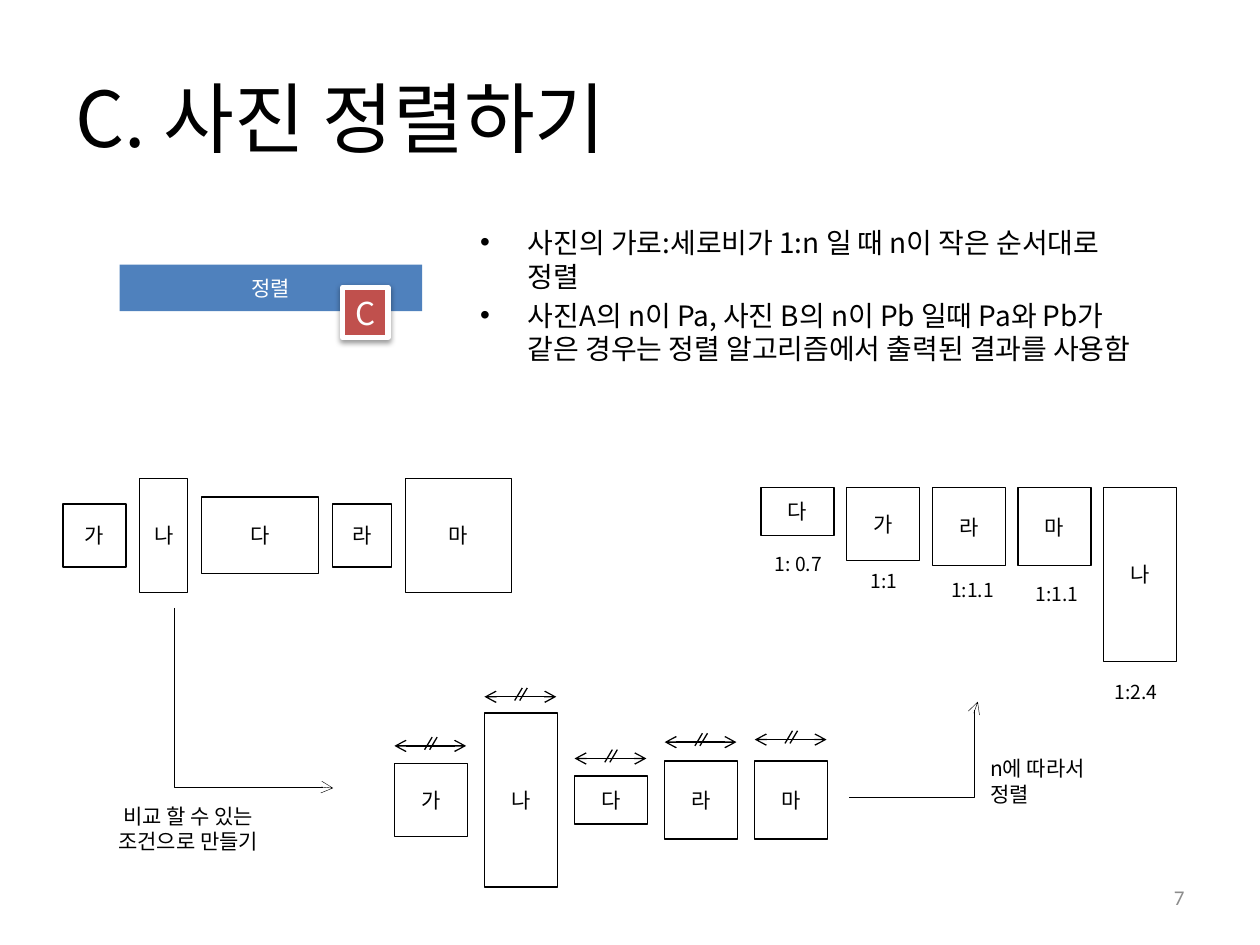
from itertools import accumulate
from typing import NamedTuple

from lxml.etree import SubElement
from pptx import Presentation
from pptx.dml.color import RGBColor
from pptx.enum.shapes import MSO_CONNECTOR as Link, MSO_SHAPE as Preset
from pptx.enum.text import MSO_ANCHOR as Anchor, PP_ALIGN as Align
from pptx.oxml.ns import qn
from pptx.util import Inches, Pt

FONT = "Noto Sans CJK KR"
BLACK, WHITE, BLUE, RED, GRAY = "000000", "FFFFFF", "4F81BD", "C0504D", "8C8C8C"


class Photo(NamedTuple):
    """A photo with its original size and its height at the common width."""
    name: str
    width: float
    height: float
    scaled: float
    arrow_y: float


class Label(NamedTuple):
    """A text box with its place and format."""
    text: str
    left: float
    top: float
    width: float
    height: float
    size: float = 11
    align: Align = Align.LEFT
    wrap: bool = False


class Elbow(NamedTuple):
    """A bent arrow before rotation, with its bend position."""
    start: tuple[float, float]
    end: tuple[float, float]
    bend: float
    degrees: int = 0


PHOTOS = [
    Photo("가", 0.5, 0.5, 0.58, 5.92),
    Photo("나", 0.38, 0.91, 1.38, 5.53),
    Photo("다", 0.93, 0.61, 0.38, 6.02),
    Photo("라", 0.47, 0.5, 0.62, 5.89),
    Photo("마", 0.84, 0.91, 0.62, 5.87),
]
SCALED_WIDTH = 0.58
LABELS = [
    Label("1: 0.7", 6.05, 4.33, 0.6, 0.29),
    Label("1:1", 6.81, 4.47, 0.43, 0.29),
    Label("1:1.1", 7.45, 4.54, 0.56, 0.29),
    Label("1:1.1", 8.12, 4.57, 0.56, 0.29),
    Label("1:2.4", 8.75, 5.35, 0.57, 0.29),
    Label("비교 할 수 있는 조건으로 만들기", 0.83, 6.33, 1.33, 0.5, 12, Align.CENTER, True),
    Label("n에 따라서 정렬", 7.76, 5.95, 1.28, 0.5, 12, Align.LEFT, True),
]
ELBOWS = [
    Elbow((2.73, 4.91), (1.3, 6.17), 0.995, 270),
    Elbow((6.74, 6.33), (7.76, 5.57), 0.976),
]
BULLETS = [
    "사진의 가로:세로비가 1:n 일 때 n이 작은 순서대로 정렬",
    "사진A의 n이 Pa, 사진 B의 n이 Pb 일때 Pa와 Pb가 같은 경우는 정렬 알고리즘에서 출력된 결과를 사용함",
]


def paint(target, color: str) -> None:
    """Give a fill or a line a solid colour."""
    fill = target if hasattr(target, "solid") else target.fill
    fill.solid()
    fill.fore_color.rgb = RGBColor.from_string(color)


def style(para, size: float, color: str = BLACK, align=Align.LEFT, name: str = FONT) -> None:
    """Set the font and alignment of a paragraph."""
    para.alignment = align
    para.font.size = Pt(size)
    para.font.name = name
    paint(para.font.fill, color)
    SubElement(para.font._rPr, qn("a:ea"), typeface=name)


def place(shape, left: float, top: float, width: float, height: float) -> None:
    """Move and size a shape."""
    shape.left, shape.top = Inches(left), Inches(top)
    shape.width, shape.height = Inches(width), Inches(height)


def add_box(page, text: str, left: float, top: float, width: float, height: float,
            fill: str = WHITE, color: str = BLACK, line: str | None = BLACK,
            weight: float = 0.75, size: float = 12):
    """Draw a rectangle with centred text."""
    box = page.shapes.add_shape(Preset.RECTANGLE, Inches(left), Inches(top),
                                Inches(width), Inches(height))
    box.shadow.inherit = False
    paint(box.fill, fill)
    if line:
        paint(box.line, line)
        box.line.width = Pt(weight)
    else:
        box.line.fill.background()
    frame = box.text_frame
    frame.vertical_anchor = Anchor.MIDDLE
    frame.text = text
    style(frame.paragraphs[0], size, color, Align.CENTER)
    return box


def add_label(page, label: Label, color: str = BLACK, name: str = FONT):
    """Draw a text box and return its frame."""
    box = page.shapes.add_textbox(*map(Inches, label[1:5]))
    frame = box.text_frame
    frame.word_wrap = label.wrap
    frame.text = label.text
    style(frame.paragraphs[0], label.size, color, label.align, name)
    return frame


def add_line(shapes, start: tuple[float, float], end: tuple[float, float],
             weight: float = 0.75, heads: tuple[str, ...] = (), kind=Link.STRAIGHT):
    """Draw a connector with optional arrowheads."""
    line = shapes.add_connector(kind, *map(Inches, (*start, *end)))
    paint(line.line, BLACK)
    line.line.width = Pt(weight)
    for head in heads:
        SubElement(line.line._get_or_add_ln(), qn(f"a:{head}"), type="arrow")
    SubElement(line._element.spPr, qn("a:effectLst"))
    return line


def add_equal_width(page, left: float, y: float) -> None:
    """Draw a double arrow with two slashes that mark equal widths."""
    shapes = page.shapes.add_group_shape().shapes
    add_line(shapes, (left, y), (left + 0.57, y), heads=("headEnd", "tailEnd"))
    for x in (left + 0.24, left + 0.28):
        add_line(shapes, (x + 0.06, y - 0.07), (x, y + 0.03))


def add_elbow(page, elbow: Elbow) -> None:
    """Draw a thin bent arrow."""
    line = add_line(page.shapes, elbow.start, elbow.end, 0.25, ("tailEnd",), Link.ELBOW)
    properties = line._element.spPr
    properties.find(qn("a:xfrm")).set("rot", str(elbow.degrees * 60000))
    guides = properties.find(qn("a:prstGeom")).find(qn("a:avLst"))
    SubElement(guides, qn("a:gd"), name="adj1", fmla=f"val {round(elbow.bend * 100000)}")


def add_shadow(shape) -> None:
    """Give a shape a soft shadow below it."""
    effects = shape._element.spPr.find(qn("a:effectLst"))
    shadow = SubElement(effects, qn("a:outerShdw"), blurRad=str(Pt(3.1)), dist=str(Pt(1.6)),
                        dir="5400000", rotWithShape="0")
    SubElement(SubElement(shadow, qn("a:srgbClr"), val=BLACK), qn("a:alpha"), val="38000")


def fill_placeholders(page) -> None:
    """Write the title and the bulleted list."""
    title, body = page.shapes.title, page.placeholders[1]
    place(title, 0.5, 0.3, 9, 1.25)
    title.text_frame.text = "C. 사진 정렬하기"
    style(title.text_frame.paragraphs[0], 44)
    place(body, 3.71, 1.74, 5.5, 1.8)
    body.text_frame.text = "\n".join(BULLETS)
    for para in body.text_frame.paragraphs:
        style(para, 16)
        para._p.get_or_add_pPr().set("marL", str(Inches(0.38)))
        para._p.get_or_add_pPr().set("indent", str(Inches(-0.38)))


def main() -> None:
    """Build and save the slide."""
    deck = Presentation()
    deck.slide_width, deck.slide_height = Inches(10), Inches(7.5)
    page = deck.slides.add_slide(deck.slide_layouts[1])
    fill_placeholders(page)
    add_box(page, "정렬", 0.95, 2.1, 2.4, 0.37, BLUE, WHITE, None)
    badge = add_box(page, "C", 2.72, 2.28, 0.36, 0.4, RED, WHITE, WHITE, 3, 18)
    badge.text_frame.word_wrap = False
    add_shadow(badge)

    lefts = accumulate((photo.width + 0.11 for photo in PHOTOS), initial=0.5)
    for index, (photo, left) in enumerate(zip(PHOTOS, lefts)):
        add_box(page, photo.name, left, 4.25 - photo.height / 2, photo.width, photo.height)
        scaled_left = 3.13 + 0.715 * index
        add_box(page, photo.name, scaled_left, 6.35 - photo.scaled / 2, SCALED_WIDTH, photo.scaled)
        add_equal_width(page, scaled_left, photo.arrow_y)
    for index, photo in enumerate(sorted(PHOTOS, key=lambda photo: photo.scaled)):
        add_box(page, photo.name, 6.04 + 0.68 * index, 3.87, SCALED_WIDTH, photo.scaled)

    for label in LABELS:
        add_label(page, label)
    for elbow in ELBOWS:
        add_elbow(page, elbow)
    number = Label("7", 7.17, 6.92, 2.33, 0.4, 12, Align.RIGHT, True)
    add_label(page, number, GRAY, "Calibri").vertical_anchor = Anchor.MIDDLE
    deck.save("out.pptx")


main()
